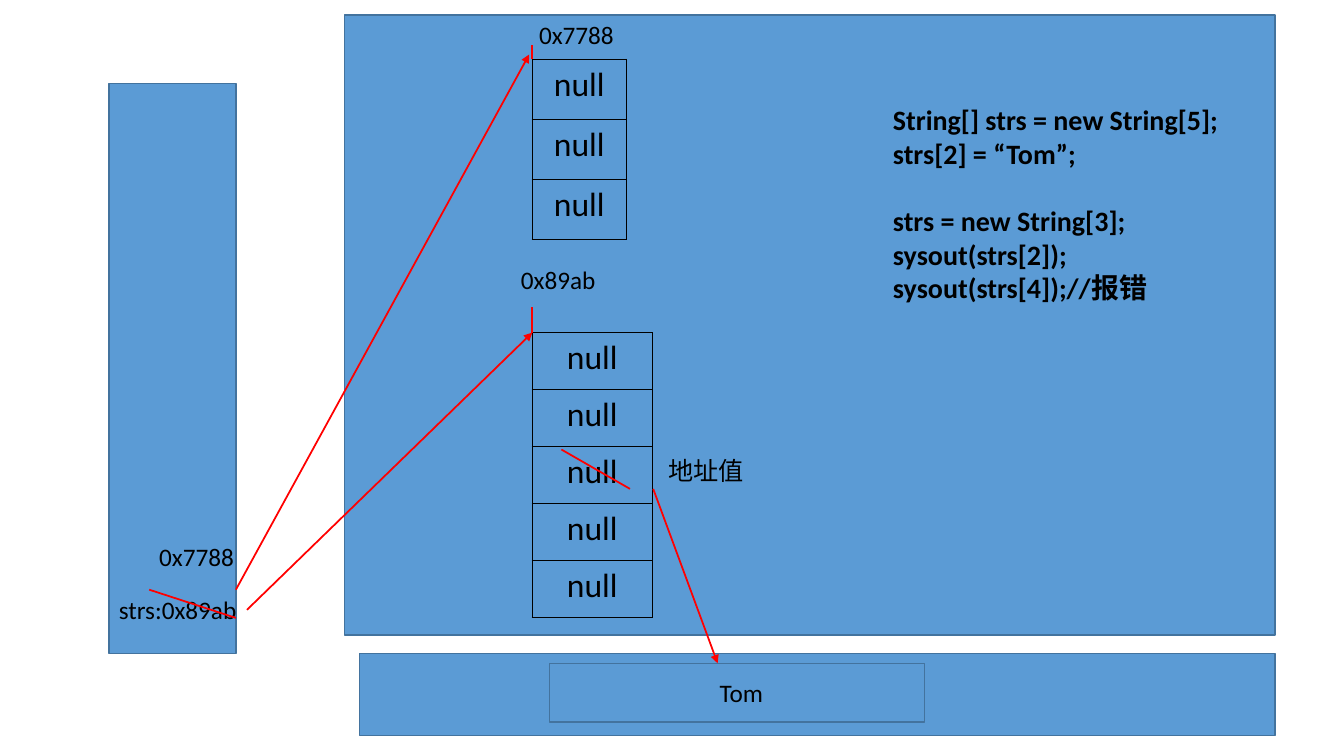
import pptx
import pptx.util
import pptx.dml.color
import pptx.enum.shapes
import pptx.enum.text
import pptx.oxml
import pptx.oxml.ns
from lxml import etree

Pt = pptx.util.Pt
qn = pptx.oxml.ns.qn


def rgb(value):
    return pptx.dml.color.RGBColor.from_string(value)


class Diagram:
    panel = "5B9BD5"
    edge = "43739E"
    ink = "000000"
    pointer = "FF0000"
    body = {"name": "Calibri", "size": Pt(18), "bold": False}
    code_style = {"name": "Calibri", "size": Pt(20), "bold": True}
    cell_style = {"name": "Calibri", "size": Pt(24), "bold": False}

    def __init__(self, s):
        self.s = s

    def run(self, p, text, style):
        r = p.add_run()
        r.text = text
        for key, value in style.items():
            setattr(r.font, key, value)
        r.font.color.rgb = rgb(self.ink)

    def box(self, x, y, w, h):
        sp = self.s.shapes.add_shape(
            pptx.enum.shapes.MSO_SHAPE.RECTANGLE, Pt(x), Pt(y), Pt(w), Pt(h))
        sp.shadow.inherit = False
        sp.fill.solid()
        sp.fill.fore_color.rgb = rgb(self.panel)
        sp.line.color.rgb = rgb(self.edge)
        sp.line.width = Pt(1)

    def text(self, x, y, w, blocks, style=None, h=28.8):
        style = style or self.body
        sp = self.s.shapes.add_textbox(Pt(x), Pt(y), Pt(w), Pt(h))
        tf = sp.text_frame
        tf.word_wrap = True
        for i, block in enumerate(blocks):
            for j, line in enumerate(block):
                p = tf.add_paragraph() if i or j else tf.paragraphs[0]
                if i and not j:
                    p.space_before = Pt(24)
                self.run(p, line, style)

    def array(self, x, y, w, row_h, values):
        frame = self.s.shapes.add_table(
            len(values), 1, Pt(x), Pt(y), Pt(w), Pt(row_h * len(values)))
        table = frame.table
        table.first_row = table.horz_banding = False
        table.columns[0].width = Pt(w)
        for i, value in enumerate(values):
            table.rows[i].height = Pt(row_h)
            cell = table.cell(i, 0)
            cell.fill.background()
            self.borders(cell)
            p = cell.text_frame.paragraphs[0]
            p.alignment = pptx.enum.text.PP_ALIGN.CENTER
            self.run(p, value, self.cell_style)

    def borders(self, cell):
        tcPr = cell._tc.get_or_add_tcPr()
        for i, side in enumerate(("a:lnL", "a:lnR", "a:lnT", "a:lnB")):
            ln = etree.Element(qn(side), w=str(Pt(1)))
            fill = etree.SubElement(ln, qn("a:solidFill"))
            etree.SubElement(fill, qn("a:srgbClr"), val=self.ink)
            tcPr.insert(i, ln)

    def line(self, x1, y1, x2, y2, arrow=False):
        c = self.s.shapes.add_connector(
            pptx.enum.shapes.MSO_CONNECTOR.STRAIGHT, Pt(x1), Pt(y1), Pt(x2), Pt(y2))
        c.line.color.rgb = rgb(self.pointer)
        c.line.width = Pt(1.25)
        spPr = c._element.spPr
        if arrow:
            etree.SubElement(spPr.find(qn("a:ln")), qn("a:tailEnd"), type="triangle")
        etree.SubElement(spPr, qn("a:effectLst"))


def main():
    prs = pptx.Presentation()
    prs.slide_width, prs.slide_height = Pt(960), Pt(540)
    d = Diagram(prs.slides.add_slide(prs.slide_layouts[6]))

    d.box(246.2, 10.8, 664.6, 442.8)
    d.text(630.7, 69.8, 252.7, [
        ["String[] strs = new String[5];", "strs[2] = “Tom”;"],
        ["strs = new String[3];", "sysout(strs[2]);", "sysout(strs[4]);//报错"],
    ], d.code_style, 152.6)

    d.box(77.8, 59.8, 90.7, 406.8)
    d.text(77.8, 421.2, 109.4, [["strs:0x89ab"]])

    array_x = 380.2
    d.array(array_x, 237.6, 85.7, 40.7, ["null"] * 5)
    d.line(array_x, 219.6, array_x, 237.6)
    d.text(365, 185, 116.6, [["0x89ab"]])
    d.line(176.4, 435.6, array_x, 237.6, arrow=True)
    d.line(401, 321.1, 450, 349.2)
    d.text(470.2, 321.8, 85, [["地址值"]])

    d.array(array_x, 42.5, 67.2, 42.8, ["null"] * 3)
    d.line(array_x, 32.4, array_x, 42.5)
    d.text(378, 10.1, 177.1, [["0x7788"]])
    d.line(106.6, 421.2, 168.5, 441.4)
    d.text(106.6, 383, 88.6, [["0x7788"]])
    d.line(168.5, 421.2, 378, 38.9, arrow=True)

    d.box(257, 466.6, 653.8, 59)
    d.box(392.4, 473.8, 267.8, 41.8)
    d.text(506.9, 480.2, 70.6, [["Tom"]])
    d.line(466.6, 349.2, 512.6, 473.8, arrow=True)

    prs.save("out.pptx")


if __name__ == "__main__":
    main()
